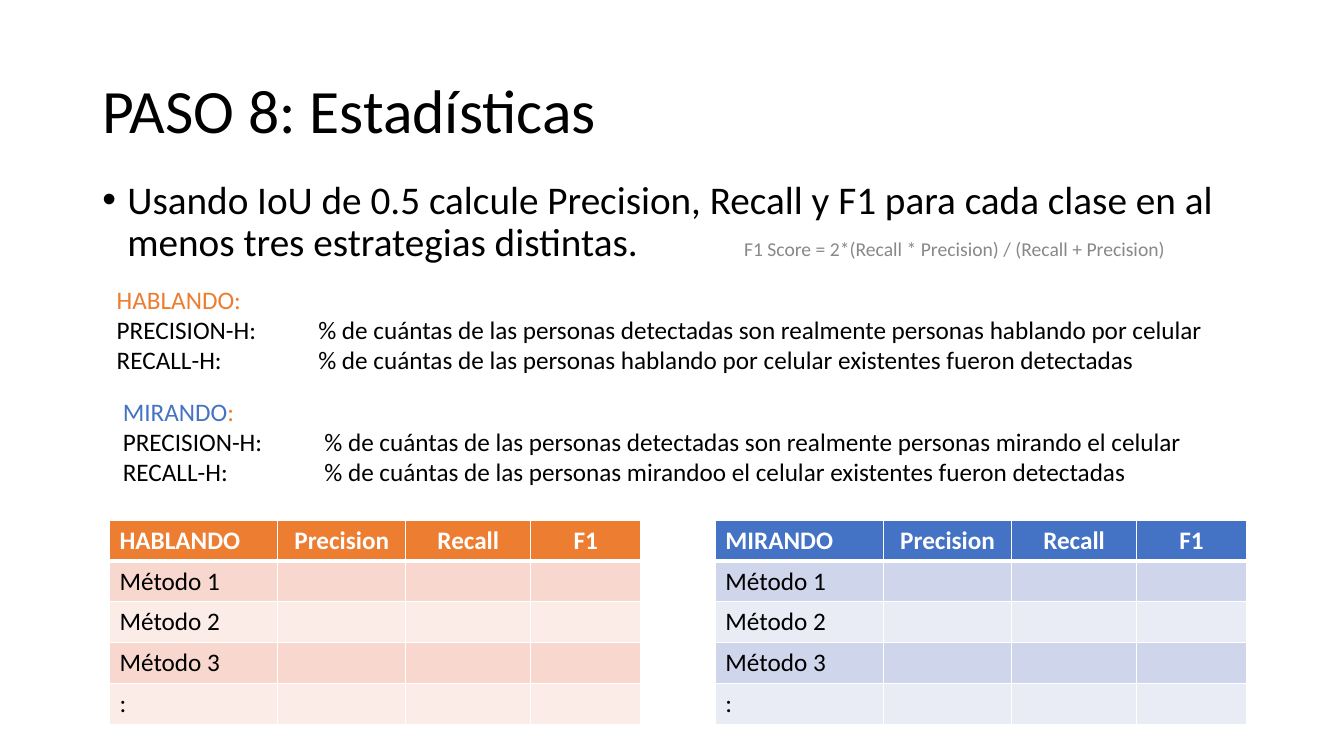
from dataclasses import dataclass

import pptx
import pptx.dml.color
import pptx.enum.text
import pptx.oxml.ns
import pptx.util
from lxml import etree

RGBColor = pptx.dml.color.RGBColor
BLACK = RGBColor(0x00, 0x00, 0x00)
WHITE = RGBColor(0xFF, 0xFF, 0xFF)
GRAY = RGBColor(0x88, 0x88, 0x88)
ORANGE = RGBColor(0xED, 0x7D, 0x31)
ORANGE_BAND = RGBColor(0xF8, 0xD7, 0xCE)
ORANGE_PALE = RGBColor(0xFC, 0xEC, 0xE8)
BLUE = RGBColor(0x44, 0x72, 0xC4)
BLUE_BAND = RGBColor(0xCF, 0xD5, 0xEA)
BLUE_PALE = RGBColor(0xE9, 0xEB, 0xF5)

FONT = "Calibri"
UNIT = pptx.util.Inches(1) // 12  # the slide is a grid of 160 columns by 90 rows
SLIDE_COLUMNS, SLIDE_ROWS = 160, 90
TABLE_TOP, TABLE_ROW = 61.92, 4.87
TABLE_COLUMNS = (20.04, 15.24, 14.88, 13.08)
DEFINITION_TAB = 24
MEASURES = ("Precision", "Recall", "F1")
METHODS = ("Método 1", "Método 2", "Método 3", ":")


@dataclass(frozen=True)
class Area:
    left: float
    top: float
    width: float
    height: float


@dataclass(frozen=True)
class Piece:
    text: str
    color: RGBColor = BLACK
    size: int = 18


@dataclass(frozen=True)
class ClassSection:
    name: str
    color: RGBColor
    colon_color: RGBColor
    band: RGBColor
    pale: RGBColor
    definitions_area: Area
    precision: str
    recall: str
    table_left: float


SECTIONS = (
    ClassSection(
        "HABLANDO", ORANGE, ORANGE, ORANGE_BAND, ORANGE_PALE,
        Area(12.72, 33.24, 133.2, 12.12),
        "% de cuántas de las personas detectadas son realmente personas hablando por celular",
        "% de cuántas de las personas hablando por celular existentes fueron detectadas",
        13.04,
    ),
    ClassSection(
        "MIRANDO", BLUE, ORANGE, BLUE_BAND, BLUE_PALE,
        Area(13.44, 46.56, 129.12, 12.12),
        "% de cuántas de las personas detectadas son realmente personas mirando el celular",
        "% de cuántas de las personas mirandoo el celular existentes fueron detectadas",
        85.16,
    ),
)


def grid(cells: float) -> int:
    return round(cells * UNIT)


def add_text(slide, area: Area, paragraphs: list[list[Piece]], wrap: bool = True):
    shape = slide.shapes.add_textbox(
        grid(area.left), grid(area.top), grid(area.width), grid(area.height))
    text_frame = shape.text_frame
    text_frame.word_wrap = wrap
    text_frame.text = "\n".join("" for _ in paragraphs)
    for paragraph, pieces in zip(text_frame.paragraphs, paragraphs):
        for piece in pieces:
            run = paragraph.add_run()
            run.text = piece.text
            run.font.name = FONT
            run.font.size = pptx.util.Pt(piece.size)
            run.font.color.rgb = piece.color
    return text_frame


def add_bullet(paragraph, indent: float) -> None:
    properties = paragraph._p.get_or_add_pPr()
    properties.set("marL", str(grid(indent)))
    properties.set("indent", str(-grid(indent)))
    qn = pptx.oxml.ns.qn
    etree.SubElement(properties, qn("a:buFont"), typeface="Arial")
    etree.SubElement(properties, qn("a:buChar"), char="•")


def add_tab(paragraph, position: float) -> None:
    qn = pptx.oxml.ns.qn
    tabs = etree.SubElement(paragraph._p.get_or_add_pPr(), qn("a:tabLst"))
    etree.SubElement(tabs, qn("a:tab"), pos=str(grid(position)), algn="l")


def add_definitions(slide, section: ClassSection) -> None:
    heading = [Piece(section.name, section.color), Piece(":", section.colon_color)]
    if section.color == section.colon_color:
        heading = [Piece(section.name + ":", section.color)]
    text_frame = add_text(slide, section.definitions_area, [
        heading,
        [Piece("PRECISION-H:\t" + section.precision)],
        [Piece("RECALL-H:\t" + section.recall)],
    ], wrap=False)
    text_frame.auto_size = pptx.enum.text.MSO_AUTO_SIZE.SHAPE_TO_FIT_TEXT
    for paragraph in text_frame.paragraphs[1:]:
        add_tab(paragraph, DEFINITION_TAB)


def set_borders(cell, bottom_points: float) -> None:
    """Draw white cell borders, placed before the fill as the schema requires."""
    qn = pptx.oxml.ns.qn
    properties = cell._tc.get_or_add_tcPr()
    for index, side in enumerate("LRTB"):
        points = bottom_points if side == "B" else 1
        line = etree.Element(qn(f"a:ln{side}"), w=str(pptx.util.Pt(points)))
        fill = etree.SubElement(line, qn("a:solidFill"))
        etree.SubElement(fill, qn("a:srgbClr"), val=str(WHITE))
        properties.insert(index, line)


def add_results_table(slide, section: ClassSection) -> None:
    rows = [(section.name, *MEASURES)]
    rows += [(method, "", "", "") for method in METHODS]
    table = slide.shapes.add_table(
        len(rows), len(TABLE_COLUMNS), grid(section.table_left), grid(TABLE_TOP),
        grid(sum(TABLE_COLUMNS)), grid(TABLE_ROW * len(rows))).table
    for column, width in zip(table.columns, TABLE_COLUMNS):
        column.width = grid(width)
    for row_index, texts in enumerate(rows):
        is_header = row_index == 0
        band = section.band if row_index % 2 else section.pale
        for column_index, text in enumerate(texts):
            cell = table.cell(row_index, column_index)
            cell.fill.solid()
            cell.fill.fore_color.rgb = section.color if is_header else band
            set_borders(cell, 3 if is_header else 1)
            cell.text = text
            paragraph = cell.text_frame.paragraphs[0]
            if is_header and column_index:
                paragraph.alignment = pptx.enum.text.PP_ALIGN.CENTER
            for run in paragraph.runs:
                run.font.name = FONT
                run.font.size = pptx.util.Pt(18)
                run.font.bold = is_header
                run.font.color.rgb = WHITE if is_header else BLACK


def main() -> None:
    presentation = pptx.Presentation()
    presentation.slide_width = grid(SLIDE_COLUMNS)
    presentation.slide_height = grid(SLIDE_ROWS)
    slide = presentation.slides.add_slide(presentation.slide_layouts[6])

    title = add_text(slide, Area(11, 4.8, 138, 17.4),
                     [[Piece("PASO 8: Estadísticas", size=44)]])
    title.vertical_anchor = pptx.enum.text.MSO_ANCHOR.MIDDLE
    title.paragraphs[0].line_spacing = 0.9

    task = add_text(slide, Area(11, 20.88, 138, 14.64), [[
        Piece("Usando IoU de 0.5 calcule Precision, Recall y F1 para cada clase "
              "en al menos tres estrategias distintas.\t", size=28),
        Piece("F1 Score = 2*(Recall * Precision) / (Recall + Precision)", GRAY, 14),
    ]])
    task.paragraphs[0].line_spacing = 0.9
    add_bullet(task.paragraphs[0], indent=3)
    add_tab(task.paragraphs[0], position=76.4)

    for section in SECTIONS:
        add_definitions(slide, section)
        add_results_table(slide, section)
    presentation.save("out.pptx")


if __name__ == "__main__":
    main()
